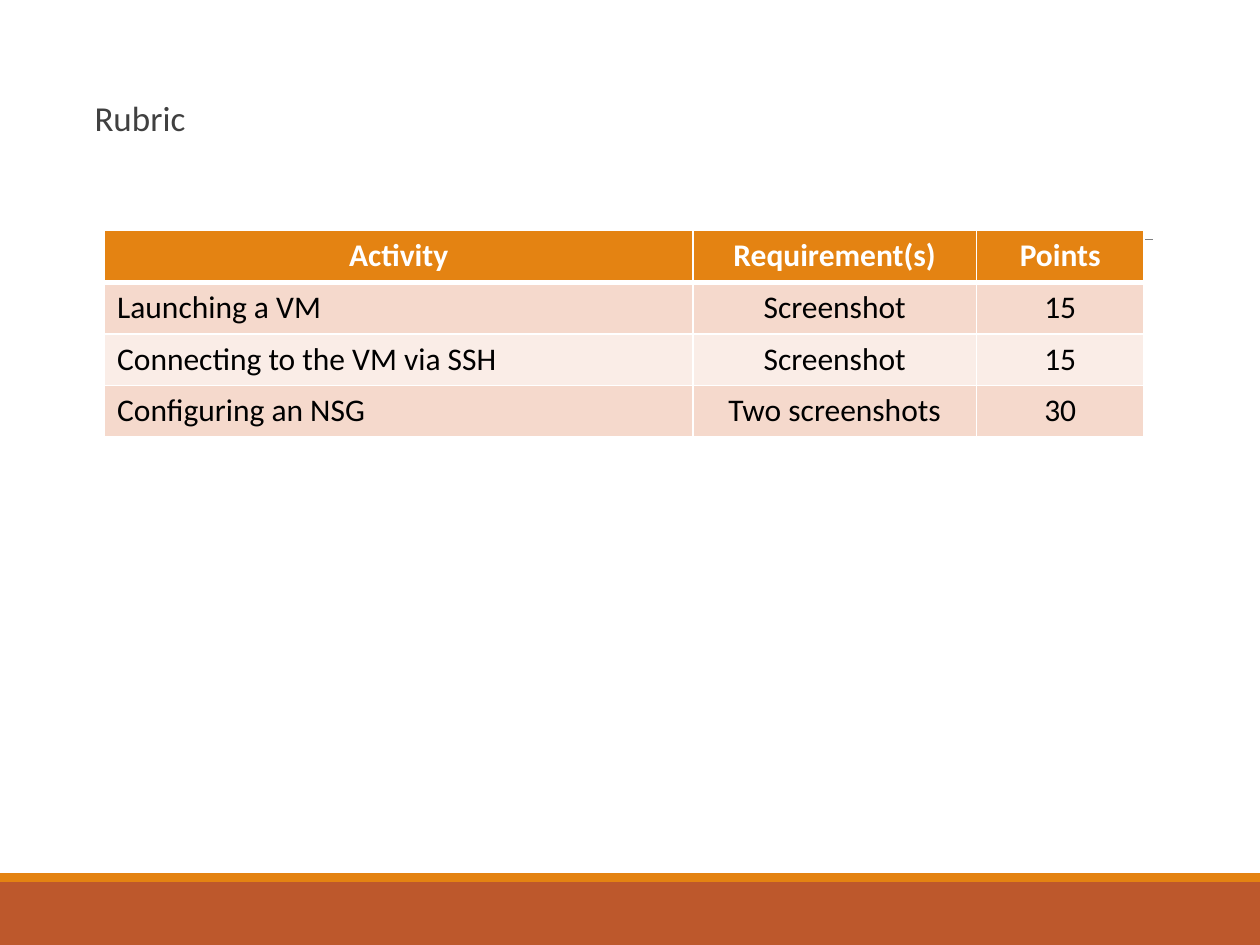
from dataclasses import dataclass

import pptx
import pptx.dml.color
import pptx.enum.shapes
import pptx.enum.text
import pptx.oxml
import pptx.oxml.ns
import pptx.util

COLORS = {
    "orange": "E48312", "rust": "BD582C", "rule": "808080", "title": "404040",
    "white": "FFFFFF", "black": "000000", "odd": "F5D9CC", "even": "FAEDE7",
}
ALIGN = pptx.enum.text.PP_ALIGN
COLUMN_WIDTHS = (4.67, 2.25, 1.33)
ROW_HEIGHT = 0.41
RUBRIC = (
    ("Activity", "Requirement(s)", "Points"),
    ("Launching a VM", "Screenshot", "15"),
    ("Connecting to the VM via SSH", "Screenshot", "15"),
    ("Configuring an NSG", "Two screenshots", "30"),
)


@dataclass(frozen=True)
class Band:
    top: float
    height: float
    color: str


FOOTER_BANDS = (Band(7, 0.5, "rust"), Band(6.93, 0.07, "orange"))


def rgb(name: str) -> pptx.dml.color.RGBColor:
    return pptx.dml.color.RGBColor.from_string(COLORS[name])


def inches(*lengths: float) -> list:
    return [pptx.util.Inches(length) for length in lengths]


def format_text(paragraph, size: int, color: str, bold: bool, align) -> None:
    paragraph.alignment = align
    values = {"name": "Calibri", "size": pptx.util.Pt(size), "bold": bold}
    for attribute, value in values.items():
        setattr(paragraph.runs[0].font, attribute, value)
    paragraph.runs[0].font.color.rgb = rgb(color)


def draw_band(slide, band: Band) -> None:
    bar = slide.shapes.add_shape(
        pptx.enum.shapes.MSO_SHAPE.RECTANGLE, *inches(0, band.top, 10, band.height))
    bar.shadow.inherit = False
    bar.fill.solid()
    bar.fill.fore_color.rgb = rgb(band.color)
    bar.line.fill.background()


def draw_rule(slide) -> None:
    rule = slide.shapes.add_connector(
        pptx.enum.shapes.MSO_CONNECTOR.STRAIGHT, *inches(0.98, 1.9, 9.15, 1.9))
    rule.line.color.rgb = rgb("rule")
    rule.line.width = pptx.util.Pt(0.5)
    rule._element.spPr.append(pptx.oxml.parse_xml(
        f"<a:effectLst {pptx.oxml.ns.nsdecls('a')}/>"))


def write_title(slide) -> None:
    title = slide.shapes.title
    places = dict(zip(("left", "top", "width", "height"), inches(0.75, 0.75, 9, 4.95)))
    for attribute, value in places.items():
        setattr(title, attribute, value)
    frame = title.text_frame
    frame.text = "Rubric"
    layout = {
        "margin_left": 0, "margin_right": 0, "word_wrap": True,
        "vertical_anchor": pptx.enum.text.MSO_ANCHOR.TOP,
        "auto_size": pptx.enum.text.MSO_AUTO_SIZE.NONE,
    }
    for attribute, value in layout.items():
        setattr(frame, attribute, value)
    heading = frame.paragraphs[0]
    heading.line_spacing = 0.9
    heading.space_after = pptx.util.Pt(2)
    format_text(heading, 20, "title", False, ALIGN.LEFT)


def set_borders(cell, bottom: int) -> None:
    properties = cell._tc.get_or_add_tcPr()
    for index, (side, points) in enumerate(
            {"L": 1, "R": 1, "T": 1, "B": bottom}.items()):
        properties.insert(index, pptx.oxml.parse_xml(
            f"<a:ln{side} {pptx.oxml.ns.nsdecls('a')} w='{pptx.util.Pt(points)}'>"
            f"<a:solidFill><a:srgbClr val='{COLORS['white']}'/></a:solidFill>"
            f"</a:ln{side}>"))


def draw_rubric(slide) -> None:
    table = slide.shapes.add_table(
        len(RUBRIC), len(COLUMN_WIDTHS),
        *inches(0.83, 1.83, sum(COLUMN_WIDTHS), ROW_HEIGHT * len(RUBRIC))).table
    for column, width in zip(table.columns, COLUMN_WIDTHS):
        column.width = pptx.util.Inches(width)
    for row, entries in enumerate(RUBRIC):
        table.rows[row].height = pptx.util.Inches(ROW_HEIGHT)
        header = row == 0
        fill = "orange" if header else ("odd" if row % 2 else "even")
        for column, entry in enumerate(entries):
            cell = table.cell(row, column)
            cell.text = entry
            cell.fill.solid()
            cell.fill.fore_color.rgb = rgb(fill)
            align = ALIGN.CENTER if header or column else ALIGN.LEFT
            format_text(cell.text_frame.paragraphs[0], 18,
                        "white" if header else "black", header, align)
            set_borders(cell, 3 if header else 1)


def main() -> None:
    deck = pptx.Presentation()
    deck.slide_width, deck.slide_height = inches(10, 7.5)
    slide = deck.slides.add_slide(deck.slide_layouts.get_by_name("Title Only"))
    for band in FOOTER_BANDS:
        draw_band(slide, band)
    draw_rule(slide)
    write_title(slide)
    draw_rubric(slide)
    deck.save("out.pptx")


if __name__ == "__main__":
    main()
